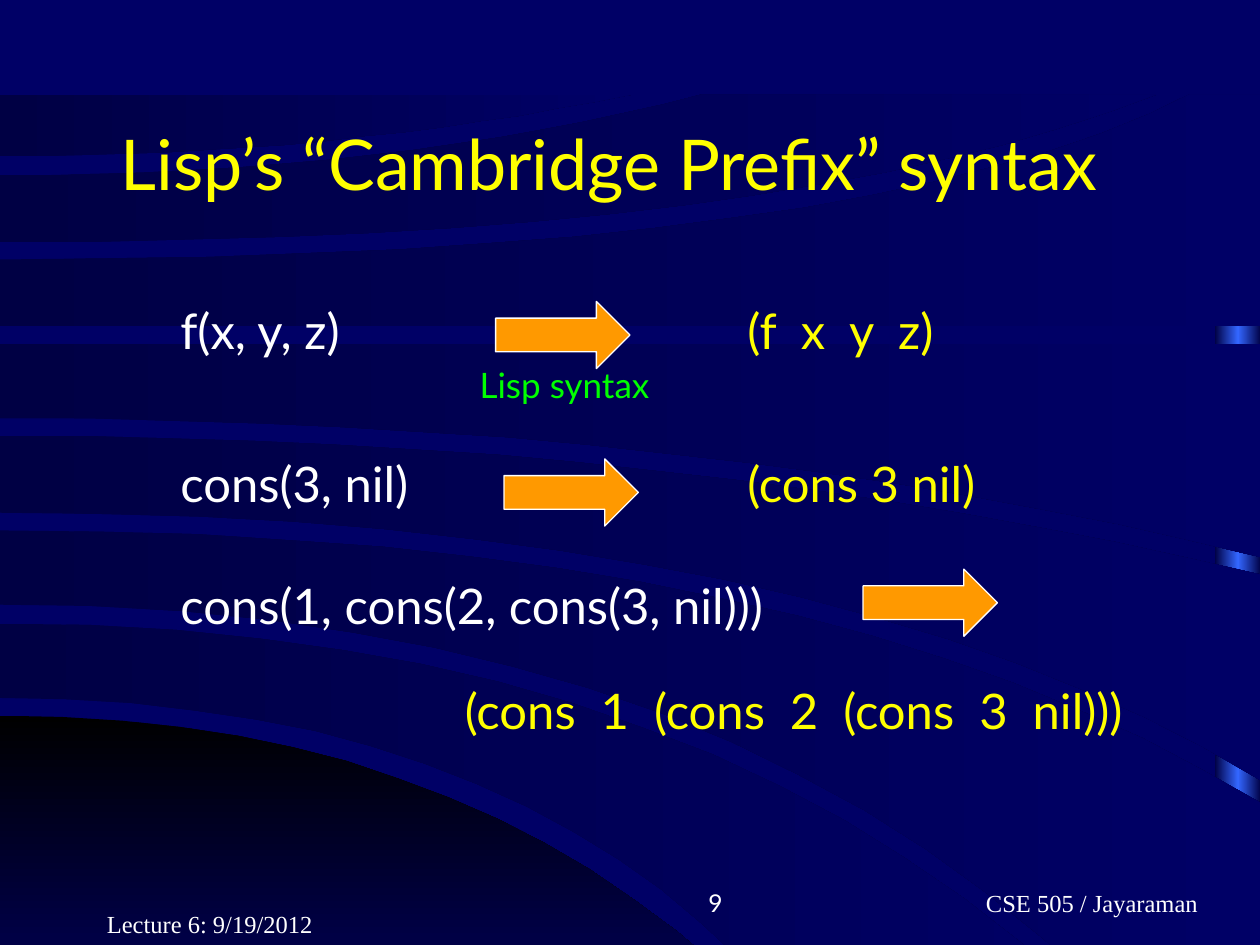
from dataclasses import dataclass
from typing import NamedTuple

from lxml.etree import SubElement
from pptx import Presentation
from pptx.dml.color import RGBColor
from pptx.enum.shapes import MSO_SHAPE
from pptx.enum.text import MSO_ANCHOR, MSO_AUTO_SIZE, PP_ALIGN
from pptx.oxml.ns import qn
from pptx.util import Inches, Pt

RECT, ARROW = MSO_SHAPE.RECTANGLE, MSO_SHAPE.RIGHT_ARROW
LEFT, MID, RIGHT = PP_ALIGN.LEFT, PP_ALIGN.CENTER, PP_ALIGN.RIGHT
TOP, CENTER, LOW = MSO_ANCHOR.TOP, MSO_ANCHOR.MIDDLE, MSO_ANCHOR.BOTTOM
GROW, FIXED = MSO_AUTO_SIZE.SHAPE_TO_FIT_TEXT, MSO_AUTO_SIZE.NONE
WIDE, HIGH = Inches(10), Inches(7.5)
COLS, ROWS = 120, 90
UNITS, PARTS = 1000, 16


@dataclass(frozen=True)
class Theme:
    back: str = "000066"
    deep: str = "000044"
    black: str = "000000"
    glow: str = "3366FF"
    white: str = "FFFFFF"
    gold: str = "FFFF00"
    green: str = "00FF00"
    orange: str = "FF9900"
    sans: str = "Lato"
    serif: str = "Times New Roman"
    head: int = 40
    body: int = 28
    note: int = 20
    foot: int = 14


LOOK = Theme()


class Box(NamedTuple):
    col: float
    row: float
    wide: float
    high: float

    def place(self) -> dict[str, int]:
        return {
            "left": round(self.col * WIDE / COLS),
            "top": round(self.row * HIGH / ROWS),
            "width": round(self.wide * WIDE / COLS),
            "height": round(self.high * HIGH / ROWS),
        }


class Label(NamedTuple):
    text: str
    box: Box
    color: str = LOOK.white
    size: int = LOOK.body
    font: str = LOOK.sans
    align: PP_ALIGN = LEFT
    anchor: MSO_ANCHOR = TOP
    wrap: bool = True
    fit: MSO_AUTO_SIZE = GROW


class Edge(NamedTuple):
    start: int
    bend: int
    x: int
    y: int

    def trace(self) -> list[tuple[int, int]]:
        spots = []
        for i in range(PARTS + 1):
            t = i / PARTS
            x = 2 * t * (1 - t) * self.bend + t * t * self.x
            y = self.start + t * t * (self.y - self.start)
            spots.append((round(x), round(y)))
        return spots


class Band(NamedTuple):
    upper: Edge
    lower: Edge
    stops: tuple[str, ...] = (LOOK.deep, LOOK.back)
    angle: int = 0


def flat(y: int, x: int) -> Edge:
    return Edge(y, x // 2, x, y)


BANDS = [
    Band(Edge(568, 398, 629, 827), flat(827, 629),
         (LOOK.black, LOOK.back), 270),
    Band(Edge(495, 575, 894, 825), Edge(554, 435, 643, 825)),
    Band(Edge(421, 645, UNITS, 637), Edge(480, 595, 910, 825)),
    Band(Edge(346, 543, UNITS, 456), Edge(407, 650, UNITS, 619)),
    Band(flat(273, UNITS), Edge(332, 560, UNITS, 442)),
    Band(Edge(206, 690, 944, 75), flat(259, UNITS)),
    Band(Edge(139, 311, 557, 75), Edge(192, 625, 918, 75)),
    Band(flat(75, 502), Edge(124, 265, 502, 75)),
]
STRIP, LINE = Box(115.7, 9.2, 4.4, 90), 6.84
BODY = [
    Label("f(x, y, z)", Box(16, 28, 23, LINE)),
    Label("(f  x  y  z)", Box(70, 28, 23, LINE), LOOK.gold),
    Label("cons(3, nil)", Box(16, 42.6, 77, LINE)),
    Label("(cons 3 nil)", Box(70, 42.6, 25.7, LINE), LOOK.gold, wrap=False),
    Label("cons(1, cons(2, cons(3, nil)))", Box(16, 54.2, 77, LINE)),
    Label("(cons  1  (cons  2  (cons  3  nil)))",
          Box(43.1, 64.2, 69.1, LINE), LOOK.gold, wrap=False),
    Label("Lisp syntax", Box(44.5, 34, 19.7, 5.3), LOOK.green, LOOK.note,
          wrap=False),
]
FEET = [
    Label("Lecture 6: 9/19/2012", Box(9, 84, 25, 6), size=LOOK.foot,
          font=LOOK.serif, anchor=LOW, fit=FIXED),
    Label("9", Box(45, 82, 25, 6), size=LOOK.foot, align=RIGHT, anchor=LOW,
          fit=FIXED),
    Label("\tCSE 505 / Jayaraman", Box(79, 82, 38, 6), size=LOOK.foot,
          font=LOOK.serif, align=MID, anchor=LOW, fit=FIXED),
]
HEAD = Label("Lisp’s “Cambridge Prefix” syntax", Box(7, 8, 102, 15),
             LOOK.gold, LOOK.head, align=MID, anchor=CENTER, fit=FIXED)
ARROWS = [Box(col, row, 12.8, 6.4)
          for col, row in ((47.2, 28.7), (48, 43.7), (82.2, 54.2))]


def assign(part, values: dict) -> None:
    for name, value in values.items():
        setattr(part, name, value)


def shade(shape, stops: tuple[str, ...], angle: int = 0) -> None:
    shape.shadow.inherit = False
    shape.line.fill.background()
    shape.fill.gradient()
    shape.fill.gradient_angle = angle
    ramp = shape.element.find(".//" + qn("a:gsLst"))
    ramp.clear()
    for i, color in enumerate(stops):
        spot = SubElement(ramp, qn("a:gs"),
                          pos=str(100000 * i // (len(stops) - 1)))
        SubElement(spot, qn("a:srgbClr"), val=color)


def sweep(shapes, band: Band) -> None:
    upper, lower = band.upper, band.lower
    short = min(upper, lower, key=lambda edge: edge.x)
    corner = (max(upper.x, lower.x), short.y)
    first, *rest = upper.trace() + [corner] + lower.trace()[::-1]
    pen = shapes.build_freeform(*first, scale=WIDE / UNITS)
    pen.add_line_segments(rest, close=True)
    shade(pen.convert_to_shape(), band.stops, band.angle)


def write(shape, label: Label) -> None:
    assign(shape, label.box.place())
    frame = shape.text_frame
    frame.text = label.text
    assign(frame, {"word_wrap": label.wrap, "auto_size": label.fit,
                   "vertical_anchor": label.anchor})
    para = frame.paragraphs[0]
    para.alignment = label.align
    if "\t" in label.text:
        tabs = SubElement(para._p.get_or_add_pPr(), qn("a:tabLst"))
        for i in range(8):
            SubElement(tabs, qn("a:tab"), pos=str(Inches(i)), algn="l")
    font = para.runs[0].font
    assign(font, {"name": label.font, "size": Pt(label.size)})
    font.color.rgb = RGBColor.from_string(label.color)


def point(shapes, box: Box) -> None:
    arrow = shapes.add_shape(ARROW, **box.place())
    arrow.shadow.inherit = False
    arrow.fill.solid()
    arrow.fill.fore_color.rgb = RGBColor.from_string(LOOK.orange)
    arrow.line.color.rgb = RGBColor.from_string(LOOK.white)
    arrow.line.width = Pt(0.75)


def main() -> None:
    deck = Presentation()
    assign(deck, {"slide_width": WIDE, "slide_height": HIGH})
    slide = deck.slides.add_slide(deck.slide_layouts[5])
    slide.background.fill.solid()
    slide.background.fill.fore_color.rgb = RGBColor.from_string(LOOK.back)
    shapes = slide.shapes
    shade(shapes.add_shape(RECT, **STRIP.place()),
          (LOOK.deep, LOOK.glow, LOOK.deep))
    for band in BANDS:
        sweep(shapes, band)
    title = shapes.title
    shapes.element.append(title.element)
    write(title, HEAD)
    for box in ARROWS:
        point(shapes, box)
    for label in BODY + FEET:
        write(shapes.add_textbox(**label.box.place()), label)
    deck.save("out.pptx")


if __name__ == "__main__":
    main()
